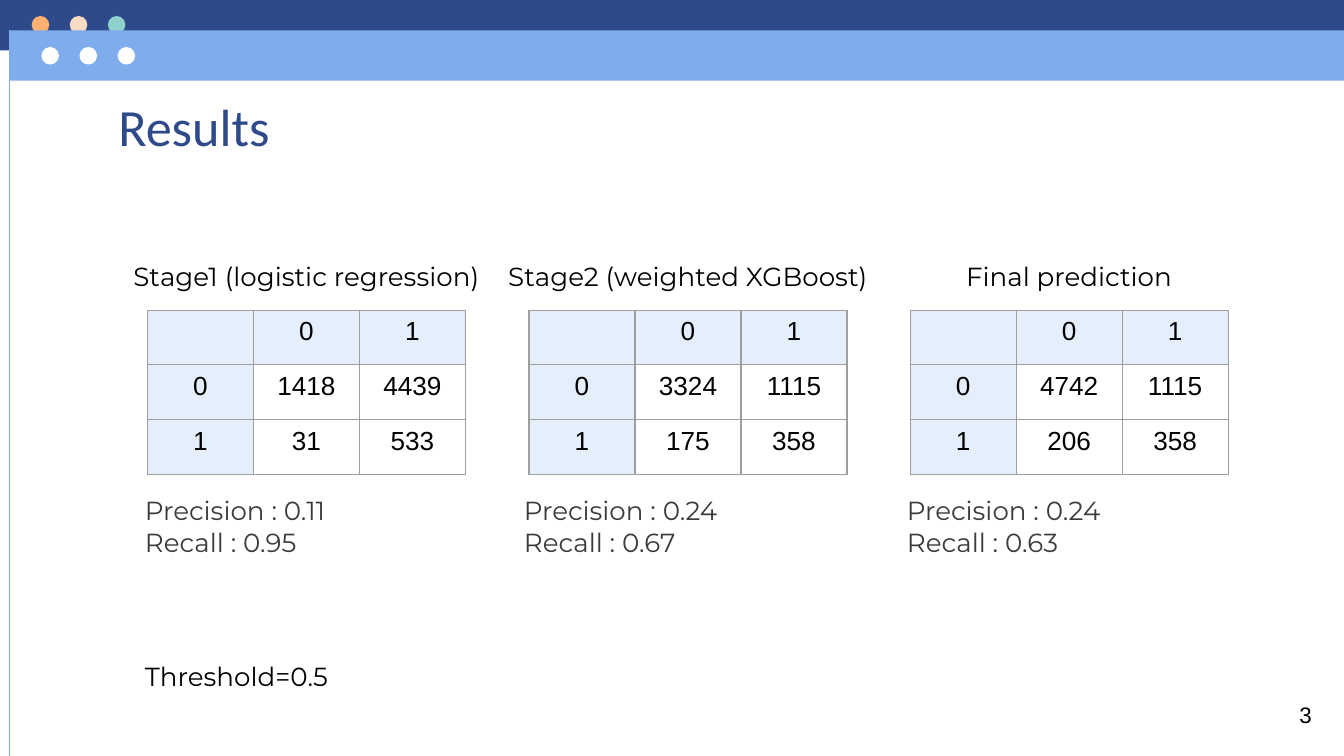
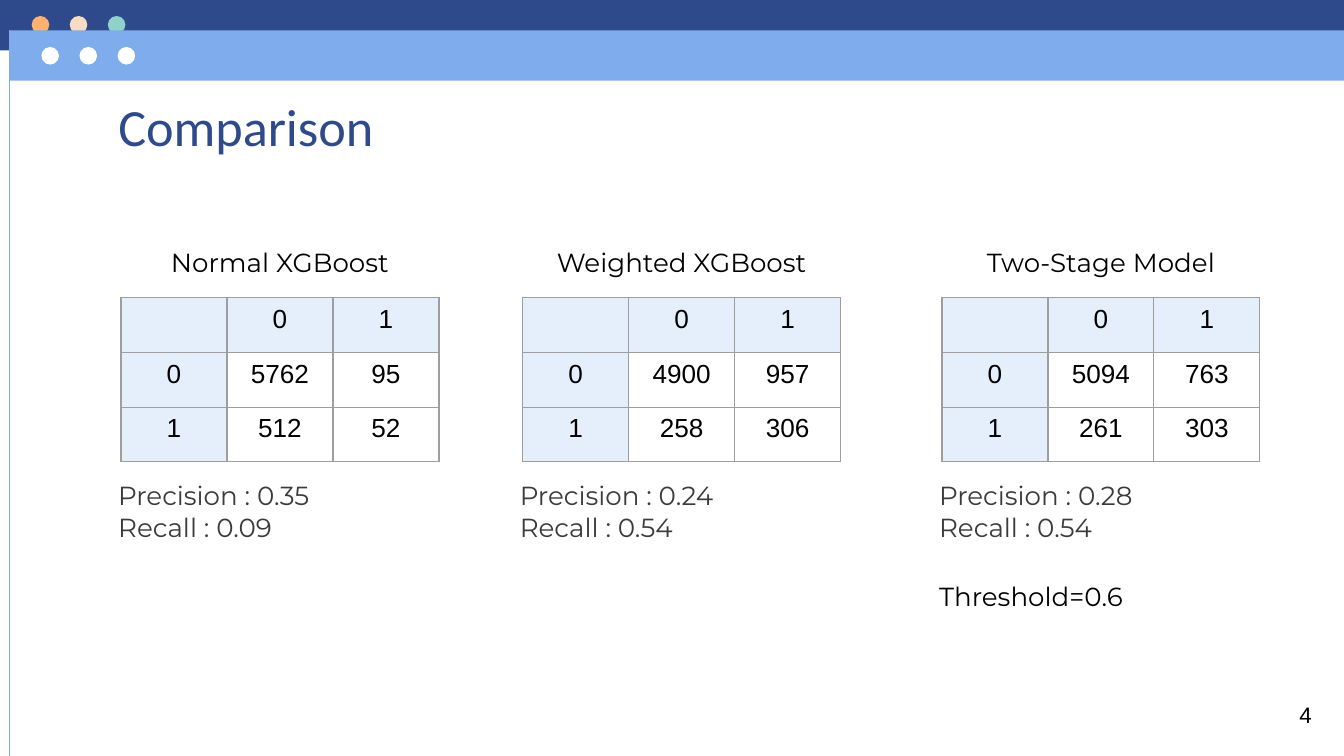
from lxml.etree import SubElement
from pptx import Presentation
from pptx.dml.color import RGBColor
from pptx.enum.shapes import MSO_CONNECTOR, MSO_SHAPE, PP_PLACEHOLDER
from pptx.enum.text import MSO_ANCHOR, MSO_AUTO_SIZE, PP_ALIGN
from pptx.oxml.ns import qn
from pptx.util import Pt

WIDTH, HEIGHT = 720, 405
NAVY, BLUE, PALE, WHITE = "2F4A8A", "7EACEC", "E5EEFB", "FFFFFF"
BLACK, GREY, BORDER = "000000", "3B3B3B", "9E9E9E"

# Each matrix: caption, caption width, table left, scores left, counts, precision, recall
PAGES = [
    {
        "title": "Results", "number": "3",
        "caption_top": 136, "table_top": 166.2, "scores_top": 261.4,
        "threshold": ("Threshold=0.5", 70.6, 350),
        "matrices": [
            ("Stage1 (logistic regression)", 203, 79, 70.6,
             [[1418, 4439], [31, 533]], "0.11", "0.95"),
            ("Stage2 (weighted XGBoost)", 213, 283.4, 273.6,
             [[3324, 1115], [175, 358]], "0.24", "0.67"),
            ("Final prediction", 127.4, 487.6, 478.8,
             [[4742, 1115], [206, 358]], "0.24", "0.63"),
        ],
    },
    {
        "title": "Comparison", "number": "4",
        "caption_top": 128.6, "table_top": 159.6, "scores_top": 253.4,
        "threshold": ("Threshold=0.6", 496, 307.4),
        "matrices": [
            ("Normal XGBoost", 134, 64.8, 56.2,
             [[5762, 95], [512, 52]], "0.35", "0.09"),
            ("Weighted XGBoost", 150.4, 280, 271.4,
             [[4900, 957], [258, 306]], "0.24", "0.54"),
            ("Two-Stage Model", 142.6, 504.6, 496,
             [[5094, 763], [261, 303]], "0.28", "0.54"),
        ],
    },
]

# Each band: left, top, height, colour, first dot left, dot top, dot colours
BANDS = [
    (0, 0, 27, NAVY, 17, 8.6, ["FFB172", "F8DBC4", "90D1CB"]),
    (5, 16.2, 27, BLUE, 22.2, 25.2, [WHITE] * 3),
]
DOT_SIZE, DOT_STEP = 9.4, 20.4
COLUMN_WIDTH, ROW_HEIGHT = 56.8, 29.3
TABLE_WIDTH = 3 * COLUMN_WIDTH
SCORES_WIDTH = 187.2

TITLE_FONT = {"name": "Calibri", "size": Pt(28), "bold": False}
LABEL_FONT = {"name": "Montserrat", "size": Pt(14)}
CELL_FONT = {"name": "Arial", "size": Pt(14), "bold": False}
NUMBER_FONT = {"name": "Arial", "size": Pt(12)}


def colour(value):
    return RGBColor.from_string(value)


def points(*lengths):
    return [Pt(length) for length in lengths]


def write(frame, lines, font, text_colour, align=PP_ALIGN.LEFT):
    for index, line in enumerate(lines):
        para = frame.paragraphs[0] if index == 0 else frame.add_paragraph()
        para.alignment = align
        span = para.add_run()
        span.text = line
        for name, value in font.items():
            setattr(span.font, name, value)
        span.font.color.rgb = colour(text_colour)


def add_label(page, place, lines, font=LABEL_FONT, text_colour=BLACK,
              align=PP_ALIGN.LEFT, wrap=True):
    frame = page.shapes.add_textbox(*points(*place)).text_frame
    frame.word_wrap = wrap
    frame.auto_size = MSO_AUTO_SIZE.SHAPE_TO_FIT_TEXT
    write(frame, lines, font, text_colour, align)


def add_filled(page, kind, place, fill):
    shape = page.shapes.add_shape(kind, *points(*place))
    shape.shadow.inherit = False
    shape.fill.solid()
    shape.fill.fore_color.rgb = colour(fill)
    shape.line.fill.background()
    return shape


def move_bands_to_layout(page):
    """Draw the window bands, then hand them to the layout that all pages share."""
    parts = []
    for left, top, height, fill, dot_left, dot_top, dots in BANDS:
        parts.append(add_filled(page, MSO_SHAPE.RECTANGLE,
                                (left, top, WIDTH - left, height), fill))
        for index, dot in enumerate(dots):
            place = (dot_left + index * DOT_STEP, dot_top, DOT_SIZE, DOT_SIZE)
            parts.append(add_filled(page, MSO_SHAPE.OVAL, place, dot))
    edge = page.shapes.add_connector(MSO_CONNECTOR.STRAIGHT, *points(5, 16.2, 5, HEIGHT))
    edge.line.color.rgb = colour(BLUE)
    edge.line.width = Pt(0.75)
    SubElement(edge.element.spPr, qn("a:effectLst"))
    parts.append(edge)

    layout = page.slide_layout
    for holder in list(layout.placeholders):
        if holder.placeholder_format.type != PP_PLACEHOLDER.TITLE:
            holder.element.getparent().remove(holder.element)
    for part in parts:
        layout.shapes.element.append(part.element)


def set_title(page, text):
    title = page.shapes.title
    title.left, title.top, title.width, title.height = points(56.2, 43.4, 607.6, 36.6)
    frame = title.text_frame
    frame.auto_size = MSO_AUTO_SIZE.NONE
    frame.vertical_anchor = MSO_ANCHOR.TOP
    for side in ("left", "top", "right", "bottom"):
        setattr(frame, f"margin_{side}", Pt(7.2))
    write(frame, [text], TITLE_FONT, NAVY)


def add_borders(cell):
    properties = cell._tc.get_or_add_tcPr()
    for side in "LRTB":
        line = SubElement(properties, qn(f"a:ln{side}"), w=str(Pt(0.75)))
        fill = SubElement(line, qn("a:solidFill"))
        SubElement(fill, qn("a:srgbClr"), val=BORDER)


def add_confusion_table(page, left, top, counts):
    place = points(left, top, TABLE_WIDTH, 3 * ROW_HEIGHT)
    table = page.shapes.add_table(3, 3, *place).table
    table.first_row = table.horz_banding = False
    for column in table.columns:
        column.width = Pt(COLUMN_WIDTH)
    for row in table.rows:
        row.height = Pt(ROW_HEIGHT)
    rows = [["", 0, 1]] + [[label, *values] for label, values in enumerate(counts)]
    for row_index, row in enumerate(rows):
        for column_index, value in enumerate(row):
            cell = table.cell(row_index, column_index)
            add_borders(cell)
            if row_index == 0 or column_index == 0:
                cell.fill.solid()
                cell.fill.fore_color.rgb = colour(PALE)
            else:
                cell.fill.background()
            if value != "":
                write(cell.text_frame, [str(value)], CELL_FONT, BLACK, PP_ALIGN.CENTER)


def add_matrices(page, content):
    for caption, width, left, scores_left, counts, precision, recall in content["matrices"]:
        add_confusion_table(page, left, content["table_top"], counts)
        caption_left = left + (TABLE_WIDTH - width) / 2
        add_label(page, (caption_left, content["caption_top"], width, 24.4), [caption],
                  align=PP_ALIGN.CENTER, wrap=False)
        add_label(page, (scores_left, content["scores_top"], SCORES_WIDTH, 41),
                  [f"Precision : {precision}", f"Recall : {recall}"], text_colour=GREY)


def main():
    deck = Presentation()
    deck.slide_width, deck.slide_height = points(WIDTH, HEIGHT)
    layout = deck.slide_layouts[5]
    for index, content in enumerate(PAGES):
        page = deck.slides.add_slide(layout)
        if index == 0:
            move_bands_to_layout(page)
        set_title(page, content["title"])
        add_matrices(page, content)
        text, left, top = content["threshold"]
        add_label(page, (left, top, SCORES_WIDTH, 24.4), [text])
        add_label(page, (689, 372.2, 21, 21.6), [content["number"]], NUMBER_FONT, wrap=False)
    deck.save("out.pptx")


if __name__ == "__main__":
    main()
